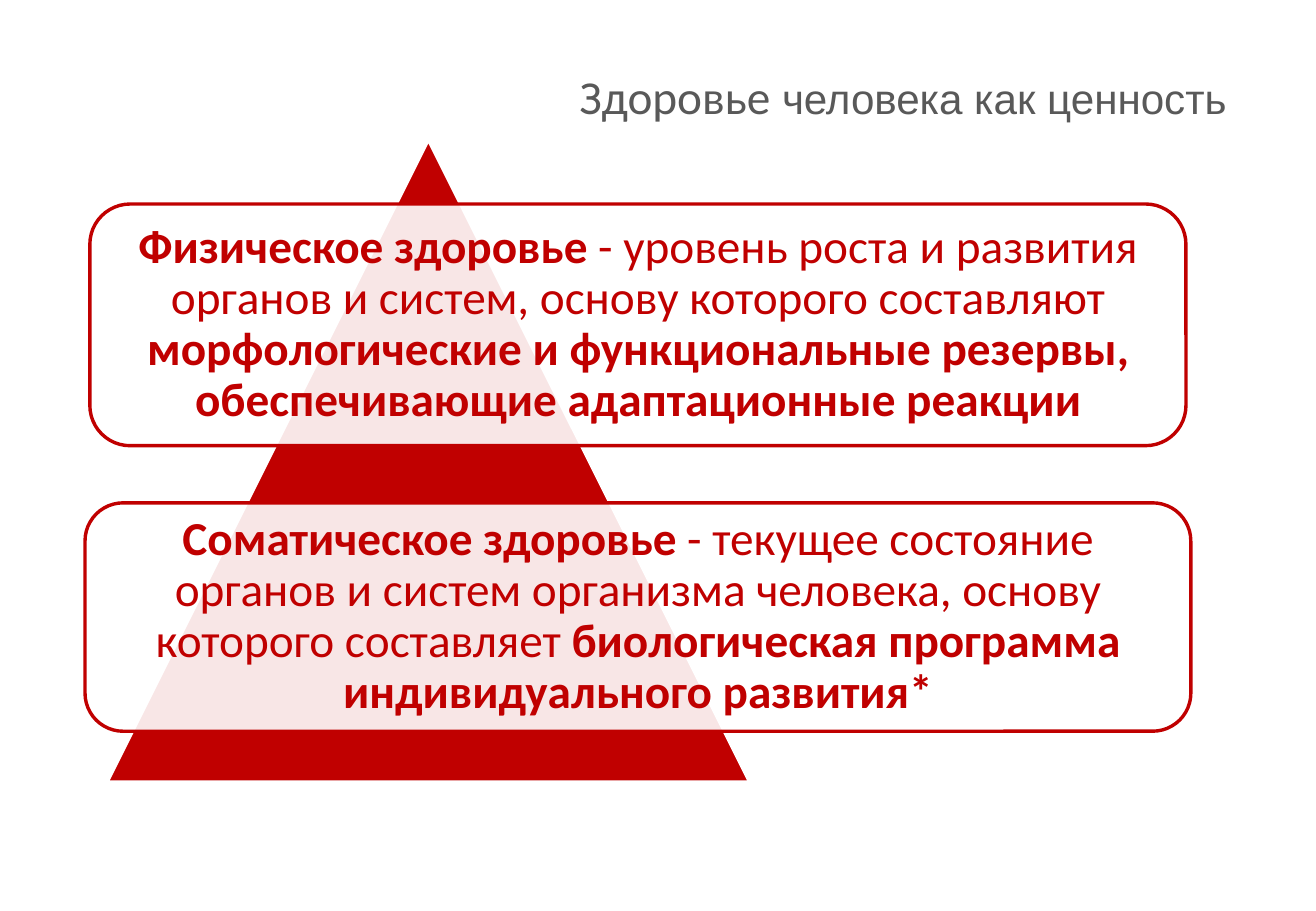
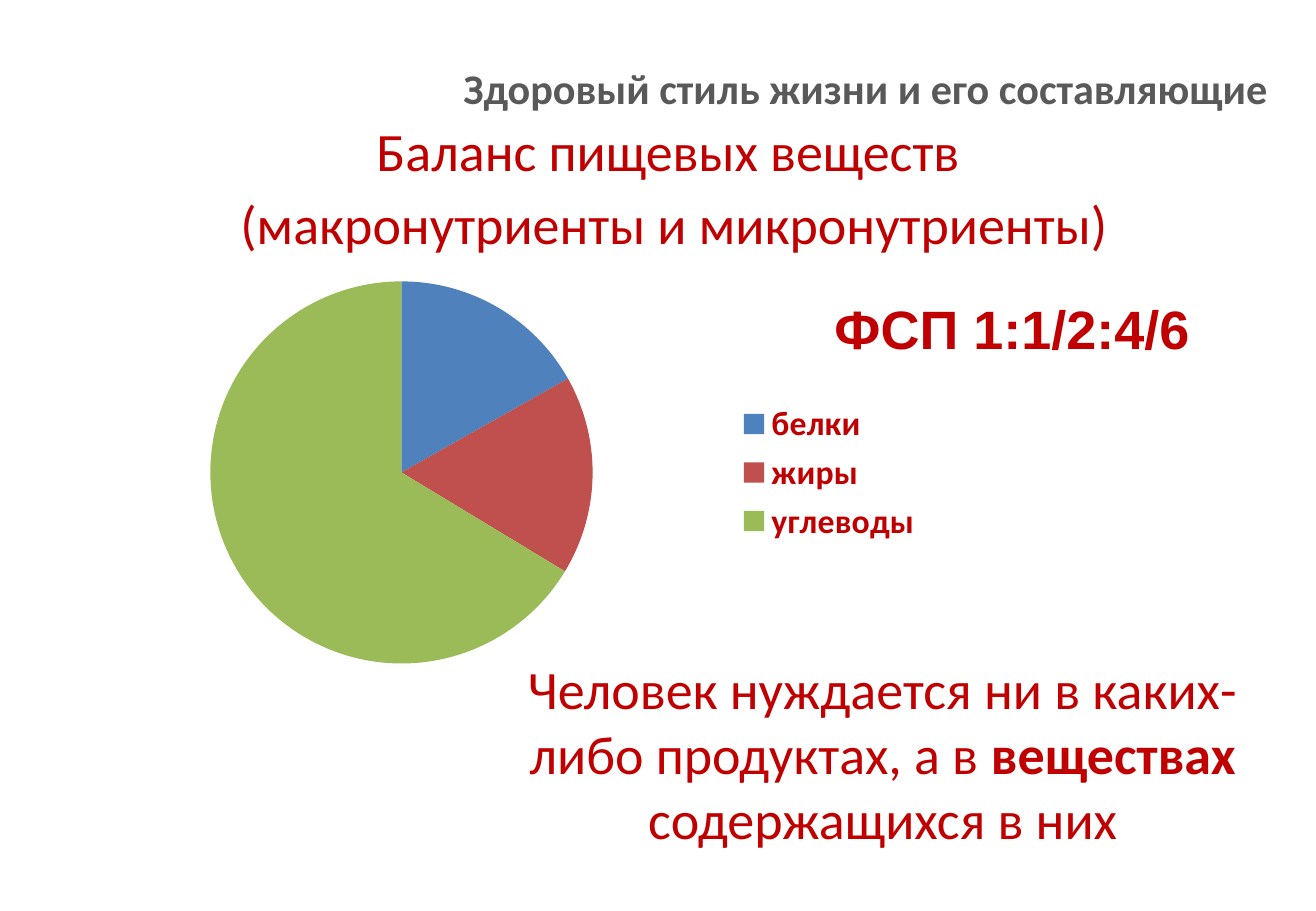
from lxml.etree import SubElement
from pptx import Presentation
from pptx.chart.data import CategoryChartData
from pptx.dml.color import RGBColor
from pptx.enum.chart import XL_CHART_TYPE, XL_LEGEND_POSITION
from pptx.enum.shapes import MSO_SHAPE
from pptx.enum.text import MSO_ANCHOR, PP_ALIGN
from pptx.oxml import parse_xml
from pptx.oxml.ns import nsdecls, qn
from pptx.util import Inches, Pt

RED, GREY, WHITE = "C00000", "595959", "FFFFFF"
SLICES = ("4F81BD", "C0504D", "9BBB59")
SANS, BODY = "Arial", "Calibri"
LEFT, MID, RIGHT = PP_ALIGN.LEFT, PP_ALIGN.CENTER, PP_ALIGN.RIGHT


def tint(code):
    return RGBColor.from_string(code)


class Deck:
    """Holds the style and the current slide; boxes are percent of the slide."""

    def __init__(self):
        self.file = Presentation()
        self.file.slide_width = Inches(10.83)
        self.file.slide_height = Inches(7.5)
        self.slide = None

    def page(self):
        self.slide = self.file.slides.add_slide(self.file.slide_layouts[6])

    def place(self, box):
        wide, high = self.file.slide_width, self.file.slide_height
        return [int(part * side / 100)
                for part, side in zip(box, (wide, high, wide, high))]

    def words(self, frame, lines, size, color=RED, align=MID, gap=0, lead=None):
        """Each line is a list of runs: (text, bold[, font[, size]])."""
        for num, runs in enumerate(lines):
            para = frame.add_paragraph() if num else frame.paragraphs[0]
            para.alignment = align
            para.line_spacing = lead
            if num:
                para.space_before = Pt(gap)
            for text, bold, *more in runs:
                face, points = more + [BODY, size][len(more):]
                run = para.add_run()
                run.text = text
                run.font.name, run.font.size = face, Pt(points)
                run.font.bold = bold
                run.font.color.rgb = tint(color)

    def text(self, box, lines, size, wrap=True, anchor=MSO_ANCHOR.TOP, **style):
        frame = self.slide.shapes.add_textbox(*self.place(box)).text_frame
        frame.word_wrap = wrap
        frame.vertical_anchor = anchor
        self.words(frame, lines, size, **style)

    def title(self, box, runs):
        self.text(box, [runs], 25, anchor=MSO_ANCHOR.MIDDLE,
                  color=GREY, align=RIGHT)

    def shape(self, kind, box, fill, line):
        form = self.slide.shapes.add_shape(kind, *self.place(box))
        form.shadow.inherit = False
        form.fill.solid()
        form.fill.fore_color.rgb = tint(fill)
        form.line.color.rgb = tint(line)
        form.line.width = Pt(2)
        return form

    def card(self, box, runs):
        form = self.shape(MSO_SHAPE.ROUNDED_RECTANGLE, box, WHITE, RED)
        # Let the triangle show faintly through the card
        color = form._element.spPr.find(qn("a:solidFill"))[0]
        SubElement(color, qn("a:alpha")).set("val", "90000")
        frame = form.text_frame
        frame.word_wrap = True
        frame.vertical_anchor = MSO_ANCHOR.MIDDLE
        frame.margin_left = frame.margin_right = Inches(0.12)
        frame.margin_top = frame.margin_bottom = Inches(0.12)
        self.words(frame, [runs], 28, lead=0.9)

    def pie(self, box, parts, plot):
        data = CategoryChartData()
        data.categories = list(parts)
        data.add_series("Series 1", list(parts.values()))
        chart = self.slide.shapes.add_chart(
            XL_CHART_TYPE.PIE, *self.place(box), data).chart
        chart.has_title = False
        chart.font.name, chart.font.size = BODY, Pt(18)
        chart.plots[0].vary_by_categories = True
        for num, color in enumerate(SLICES):
            fill = chart.plots[0].series[0].points[num].format.fill
            fill.solid()
            fill.fore_color.rgb = tint(color)
        # Legend
        chart.has_legend = True
        key = chart.legend
        key.position = XL_LEGEND_POSITION.RIGHT
        key.include_in_layout = False
        key.font.name, key.font.size, key.font.bold = BODY, Pt(20), True
        key.font.color.rgb = tint(RED)
        # Fixed plot area
        area = chart._chartSpace.chart.plotArea
        for old in area.findall(qn("c:layout")):
            area.remove(old)
        marks = "".join(f'<c:{name}Mode val="edge"/>' for name in "xy")
        sides = "".join(f'<c:{name} val="{val}"/>'
                        for name, val in zip("xywh", plot))
        area.insert(0, parse_xml(
            f'<c:layout {nsdecls("c")}><c:manualLayout>'
            f'<c:layoutTarget val="inner"/>{marks}{sides}'
            f'</c:manualLayout></c:layout>'))


def main():
    deck = Deck()

    # Slide 1: health as a value
    deck.page()
    deck.title((5, 6.4, 90, 8.1), [
        ("Здоровье", False, BODY, 28),
        (" человека как ценность ", False, SANS)])
    deck.shape(MSO_SHAPE.ISOSCELES_TRIANGLE, (8.13, 15.33, 48.85, 70.53),
               RED, WHITE)
    deck.card((6.83, 22.4, 83.29, 26.53), [
        ("Физическое здоровье", True),
        (" - уровень роста и развития органов и систем, "
         "основу которого составляют ", False),
        ("морфологические и функциональные резервы, "
         "обеспечивающие адаптационные реакции", True)])
    deck.card((6.46, 55.2, 84.03, 25.07), [
        ("Соматическое здоровье ", True),
        ("- текущее состояние органов и систем организма человека, "
         "основу которого составляет ", False),
        ("биологическая программа индивидуального развития*", True)])

    # Slide 2: balance of nutrients
    deck.page()
    deck.title((26.8, 5.6, 70.4, 8.1), [
        ("Здоровый стиль жизни и его составляющие", True)])
    deck.text((5.08, 12.27, 92.34, 79.73), [
        [("Баланс пищевых веществ ", False)],
        [("(макронутриенты и микронутриенты)", False)]], 32, gap=5)
    deck.pie((5.63, 29.07, 65.47, 45.6),
             {"белки": 17, "жиры": 17, "углеводы": 67},
             (0.01, 0.04, 0.74, 0.92))
    deck.text((62.5, 31.73, 29.1, 8.53), [[("ФСП 1:1/2:4/6", True, SANS)]],
              32, wrap=False, align=LEFT)
    deck.text((35.46, 71.33, 63.25, 22.93), [[
        ("Человек нуждается ни в каких-либо продуктах, а в ", False),
        ("веществах ", True),
        ("содержащихся в них", False)]], 32)

    deck.file.save("out.pptx")


if __name__ == "__main__":
    main()
